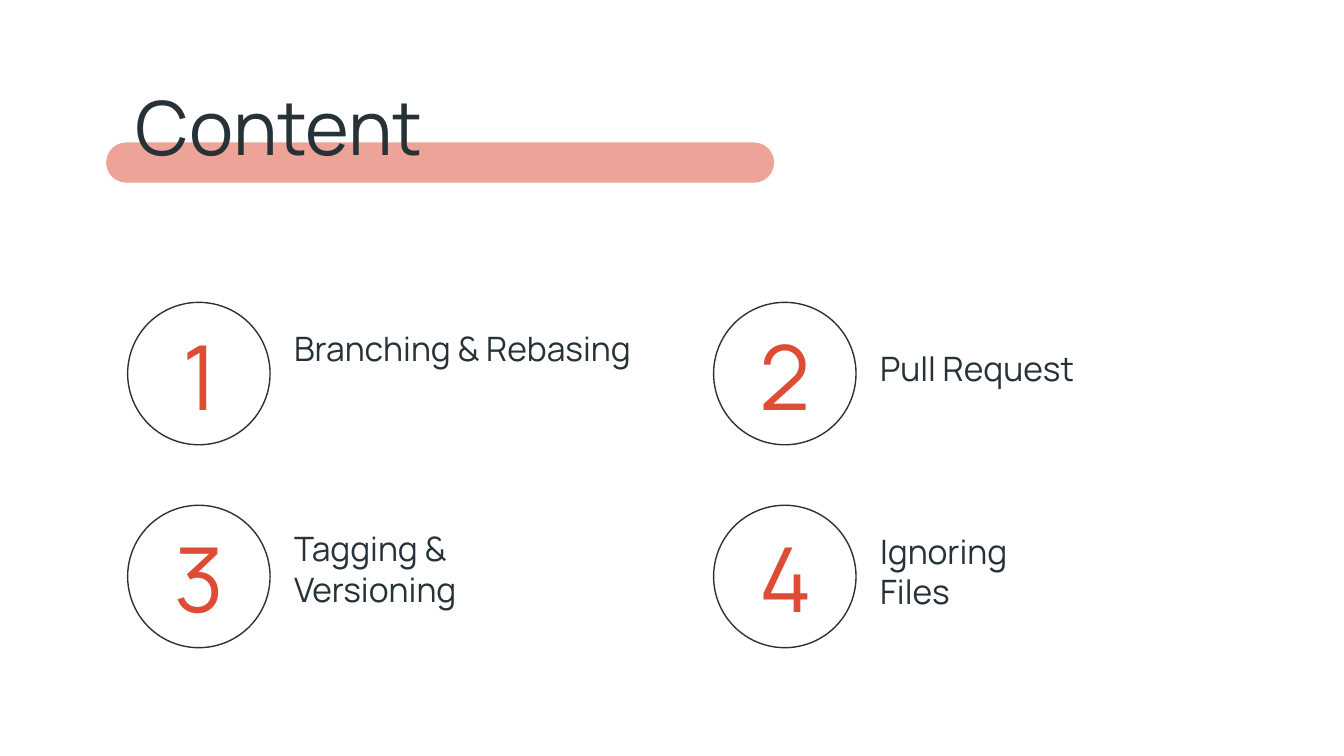
from pptx import Presentation
from pptx.dml.color import RGBColor
from pptx.enum.shapes import MSO_SHAPE
from pptx.enum.text import MSO_ANCHOR, MSO_AUTO_SIZE, PP_ALIGN
from pptx.oxml import parse_xml
from pptx.oxml.ns import nsdecls, qn
from pptx.util import Inches, Pt

DARK = RGBColor(0x26, 0x32, 0x38)
RED = RGBColor(0xDE, 0x4C, 0x36)

TOPICS = [
    # number, lines, circle left, circle top, label top
    ("1", ["Branching & Rebasing"], 0.95, 2.25, 2.34),
    ("2", ["Pull Request"], 5.31, 2.25, 2.49),
    ("3", ["Tagging &", "Versioning"], 0.95, 3.76, 3.83),
    ("4", ["Ignoring", "Files"], 5.31, 3.76, 3.85),
]


def write(holder, lines, size, color=DARK, align=PP_ALIGN.LEFT, anchor=MSO_ANCHOR.TOP):
    frame = holder.text_frame
    frame.word_wrap = True
    frame.auto_size = MSO_AUTO_SIZE.NONE
    frame.vertical_anchor = anchor
    frame.margin_left = frame.margin_right = Inches(0.1)
    frame.margin_top = frame.margin_bottom = Inches(0.1)
    frame.text = "\n".join(lines)
    for paragraph in frame.paragraphs:
        paragraph.alignment = align
        paragraph.font.size = Pt(size)
        paragraph.font.name = "Manrope"
        paragraph.font.color.rgb = color


# Widescreen 16:9 page
prs = Presentation()
prs.slide_width = Inches(10)
prs.slide_height = Inches(10 * 9 / 16)
slide = prs.slides.add_slide(prs.slide_layouts[5])

# Translucent bar under the heading
underline = slide.shapes.add_shape(
    MSO_SHAPE.ROUNDED_RECTANGLE, Inches(0.79), Inches(1.06), Inches(4.97), Inches(0.3))
underline.adjustments[0] = 0.5
underline.shadow.inherit = False
underline.line.fill.background()
underline.fill.solid()
underline.fill.fore_color.rgb = RED
underline.element.spPr.find(".//" + qn("a:srgbClr")).append(
    parse_xml(f'<a:alpha {nsdecls("a")} val="51000"/>'))

# Heading, brought in front of the bar
heading = slide.shapes.title
heading.left, heading.top = Inches(0.91), Inches(0.5)
heading.width, heading.height = Inches(8.42), Inches(0.67)
write(heading, ["Content"], 40)
heading.element.getparent().append(heading.element)

# Numbered topics
for number, lines, left, top, label_top in TOPICS:
    circle = slide.shapes.add_shape(
        MSO_SHAPE.OVAL, Inches(left), Inches(top), Inches(1.06), Inches(1.06))
    circle.shadow.inherit = False
    circle.fill.background()
    circle.line.color.rgb = DARK
    circle.line.width = Pt(0.75)

    numeral = slide.shapes.add_textbox(
        Inches(left + 0.05), Inches(top + 0.15), Inches(0.97), Inches(0.77))
    write(numeral, [number], 48, color=RED, align=PP_ALIGN.CENTER, anchor=MSO_ANCHOR.MIDDLE)

    label = slide.shapes.add_textbox(
        Inches(left + 1.14), Inches(label_top), Inches(2.93), Inches(0.41 * len(lines)))
    write(label, lines, 18)

prs.save("out.pptx")
